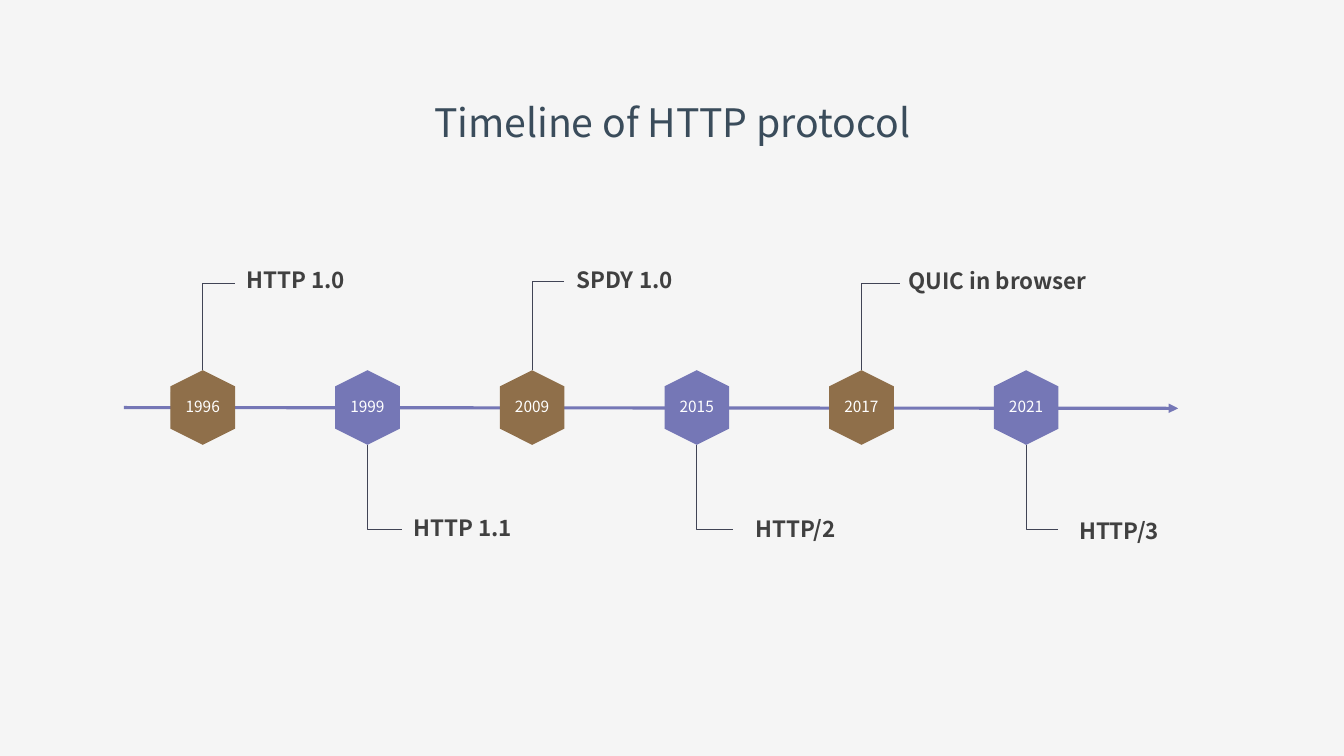
from dataclasses import dataclass

from lxml import etree
from pptx import Presentation
from pptx import util as u
from pptx.dml.color import RGBColor
from pptx.enum import shapes, text
from pptx.oxml.ns import qn
from pptx.util import Cm


@dataclass(frozen=True)
class Theme:
    background: str = "F5F5F5"
    heading: str = "3A4C5B"
    label: str = "404040"
    year: str = "FFFFFF"
    leader: str = "414455"
    above: str = "8F6F4A"
    below: str = "7577B6"
    text_font: str = "Noto Sans CJK SC"
    year_font: str = "Noto Sans CJK JP"
    title_size: float = 28
    label_size: float = 16
    year_size: float = 11


THEME = Theme()

# Timeline geometry in centimetres
FIRST_X, STEP = 5.11, 4.15
AXIS_Y = 10.27
HEX_LONG, HEX_SHORT = 1.88, 1.63
YEAR_WIDTH, YEAR_HEIGHT = 1.6, 0.71
LABEL_HEIGHT = 0.94

# Year, label, leader end x, leader y, label left, label top, label width
MILESTONES = [
    ("1996", "HTTP 1.0", 5.92, 7.13, 5.92, 6.58, 3.07),
    ("1999", "HTTP 1.1", 10.13, 13.33, 10.13, 12.83, 3.07),
    ("2009", "SPDY 1.0", 14.22, 7.09, 14.22, 6.58, 3.05),
    ("2015", "HTTP/2", 18.47, 13.33, 18.72, 12.85, 2.67),
    ("2017", "QUIC in browser", 22.68, 7.13, 22.28, 6.6, 5.72),
    ("2021", "HTTP/3", 26.67, 13.33, 26.87, 12.9, 2.67),
]


def rgb(color):
    return RGBColor.from_string(color)


def style_text(frame, content, font_name, size, color, bold=False):
    frame.text = content
    paragraph = frame.paragraphs[0]
    paragraph.alignment = text.PP_ALIGN.CENTER
    paragraph.font.name = font_name
    paragraph.font.size = u.Pt(size)
    paragraph.font.bold = bold
    paragraph.font.color.rgb = rgb(color)
    return paragraph


def add_line(slide, kind, start, end, color, width):
    line = slide.shapes.add_connector(kind, *map(Cm, start + end))
    line.line.color.rgb = rgb(color)
    line.line.width = u.Pt(width)
    etree.SubElement(line._element.spPr, qn("a:effectLst"))
    return line


def add_title(slide):
    title = slide.shapes.title
    title.left, title.top, title.width, title.height = Cm(8), Cm(1.75), Cm(17.88), Cm(2.06)
    title.text_frame.vertical_anchor = text.MSO_ANCHOR.TOP
    heading = style_text(title.text_frame, "Timeline of HTTP protocol",
                         THEME.text_font, THEME.title_size, THEME.heading)
    heading.line_spacing = 1.5


def add_axis(slide):
    axis = add_line(slide, shapes.MSO_CONNECTOR.STRAIGHT, (3.12, AXIS_Y),
                    (29.69, AXIS_Y + 0.02), THEME.below, 2.25)
    etree.SubElement(axis.line._get_or_add_ln(), qn("a:tailEnd"), type="triangle")


def add_leader(slide, center_x, end_x, y):
    edge = AXIS_Y + (HEX_LONG / 2 if y > AXIS_Y else -HEX_LONG / 2)
    leader = add_line(slide, shapes.MSO_CONNECTOR.ELBOW, (end_x, y),
                      (center_x, edge), THEME.leader, 0.5)
    # A single bend: level from the label, then upright to the hexagon
    leader._element.spPr.find(qn("a:prstGeom")).set("prst", "bentConnector2")


def add_year(slide, center_x, year, color):
    hexagon = slide.shapes.add_shape(
        shapes.MSO_SHAPE.HEXAGON, Cm(center_x - HEX_LONG / 2),
        Cm(AXIS_Y - HEX_SHORT / 2), Cm(HEX_LONG), Cm(HEX_SHORT))
    hexagon.rotation = 90
    plate = slide.shapes.add_shape(
        shapes.MSO_SHAPE.RECTANGLE, Cm(center_x - YEAR_WIDTH / 2),
        Cm(AXIS_Y - 0.03 - YEAR_HEIGHT / 2), Cm(YEAR_WIDTH), Cm(YEAR_HEIGHT))
    for part in (hexagon, plate):
        part.shadow.inherit = False
        part.fill.solid()
        part.fill.fore_color.rgb = rgb(color)
        part.line.fill.background()
    plate.text_frame.word_wrap = False
    style_text(plate.text_frame, year, THEME.year_font, THEME.year_size, THEME.year)


def add_label(slide, left, top, width, name):
    label = slide.shapes.add_textbox(Cm(left), Cm(top), Cm(width), Cm(LABEL_HEIGHT))
    label.text_frame.word_wrap = False
    style_text(label.text_frame, name, THEME.text_font, THEME.label_size,
               THEME.label, bold=True)


def main():
    deck = Presentation()
    deck.slide_width, deck.slide_height = Cm(33.87), Cm(19.05)
    slide = deck.slides.add_slide(deck.slide_layouts[5])
    slide.background.fill.solid()
    slide.background.fill.fore_color.rgb = rgb(THEME.background)

    add_title(slide)
    add_axis(slide)

    # Milestones alternate above and below the axis
    for index, (year, name, end_x, leader_y, left, top, width) in enumerate(MILESTONES):
        center_x = FIRST_X + index * STEP
        color = THEME.below if leader_y > AXIS_Y else THEME.above
        add_leader(slide, center_x, end_x, leader_y)
        add_year(slide, center_x, year, color)
        add_label(slide, left, top, width, name)

    deck.save("out.pptx")


if __name__ == "__main__":
    main()
